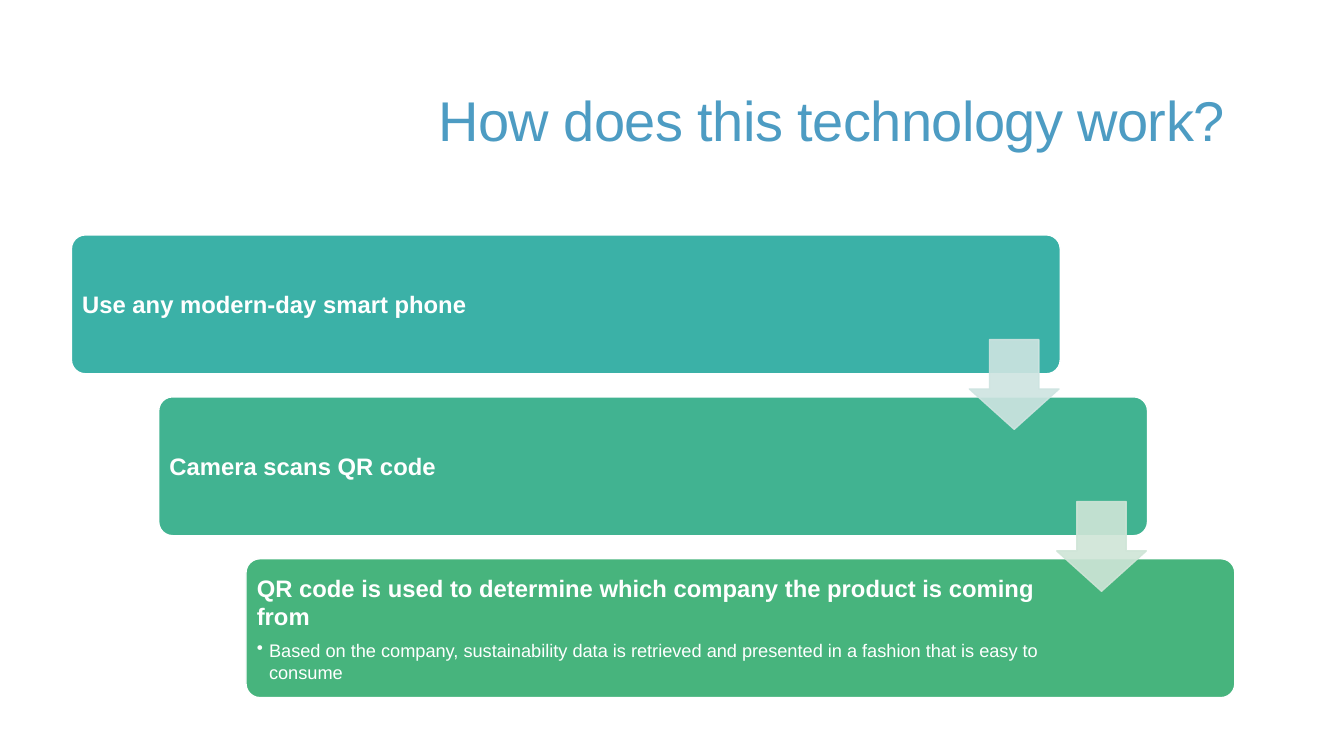
from lxml.etree import SubElement
from pptx import Presentation
from pptx.dml.color import RGBColor
from pptx.enum.shapes import MSO_SHAPE
from pptx.enum.text import MSO_ANCHOR, PP_ALIGN
from pptx.oxml.ns import qn
from pptx.util import Cm, Pt

TITLE = "How does this technology work?"
STEPS = [
    ("Use any modern-day smart phone", []),
    ("Camera scans QR code", []),
    ("QR code is used to determine which company the product is coming from",
     ["Based on the company, sustainability data is retrieved and presented "
      "in a fashion that is easy to consume"]),
]
COLORS = {"title": "4D9CC3", "white": "FFFFFF",
          "steps": ["3BB1A7", "41B391", "47B47D"],
          "arrows": ["CEE4E1", "CFE5D7"]}

# Staircase geometry in centimetres
LEFT, TOP, STEP_W, STEP_H = 1.8, 5.92, 24.92, 3.5
SHIFT_X, SHIFT_Y = 2.2, 4.08
ARROW_DX, ARROW_DY, ARROW_SIZE = 22.63, 2.64, 2.26
INSET, RIGHT_INSETS, INDENT = 0.17, [3.76, 4.65, 4.65], 0.31


def write(p, text, size, color, bold=False, align=PP_ALIGN.LEFT, after=0, bullet=None):
    p.alignment = align
    p.space_before, p.space_after = Pt(0), Pt(after)
    if bullet:
        pPr = p._p.get_or_add_pPr()
        pPr.set("marL", str(Cm(INDENT)))
        pPr.set("indent", str(-Cm(INDENT)))
        SubElement(pPr, qn("a:buChar")).set("char", bullet)
    r = p.add_run()
    r.text = text
    r.font.name, r.font.size, r.font.bold = "Arial", Pt(size), bold
    r.font.color.rgb = RGBColor.from_string(color)
    return r


def add_block(s, kind, box, adjustments, fill, line, opacity=100):
    sp = s.shapes.add_shape(kind, *[Cm(v) for v in box])
    sp.shadow.inherit = False
    for i, value in enumerate(adjustments):
        sp.adjustments[i] = value
    sp.fill.solid()
    sp.fill.fore_color.rgb = RGBColor.from_string(fill)
    sp.line.color.rgb = RGBColor.from_string(line)
    sp.line.width = Pt(1)
    if opacity < 100:
        for clr in sp._element.spPr.iter(qn("a:srgbClr")):
            SubElement(clr, qn("a:alpha")).set("val", str(opacity * 1000))
    return sp


def add_step(s, i, heading, details):
    box = (LEFT + i * SHIFT_X, TOP + i * SHIFT_Y, STEP_W, STEP_H)
    sp = add_block(s, MSO_SHAPE.ROUNDED_RECTANGLE, box, [0.1],
                   COLORS["steps"][i], COLORS["white"])
    tf = sp.text_frame
    tf.word_wrap = True
    tf.vertical_anchor = MSO_ANCHOR.MIDDLE
    tf.margin_left = tf.margin_top = tf.margin_bottom = Cm(INSET)
    tf.margin_right = Cm(RIGHT_INSETS[i])
    write(tf.paragraphs[0], heading, 17, COLORS["white"], bold=True, after=6)
    for detail in details:
        write(tf.add_paragraph(), detail, 13, COLORS["white"], after=2, bullet="•")


def main():
    prs = Presentation()
    prs.slide_width, prs.slide_height = Cm(33.87), Cm(19.05)
    s = prs.slides.add_slide(prs.slide_layouts[5])

    title = s.shapes.title
    title.left, title.top, title.width, title.height = Cm(1.8), Cm(1.02), Cm(29.31), Cm(4.17)
    tf = title.text_frame
    tf.word_wrap = True
    tf.vertical_anchor = MSO_ANCHOR.MIDDLE
    p = tf.paragraphs[0]
    p.line_spacing = 0.9
    r = write(p, TITLE, 40, COLORS["title"], align=PP_ALIGN.RIGHT)
    r.font._element.set("spc", "-40")

    for i, (heading, details) in enumerate(STEPS):
        add_step(s, i, heading, details)
    for i, color in enumerate(COLORS["arrows"]):
        box = (LEFT + ARROW_DX + i * SHIFT_X, TOP + ARROW_DY + i * SHIFT_Y,
               ARROW_SIZE, ARROW_SIZE)
        add_block(s, MSO_SHAPE.DOWN_ARROW, box, [0.55, 0.45], color, color, opacity=90)

    prs.save("out.pptx")


if __name__ == "__main__":
    main()
